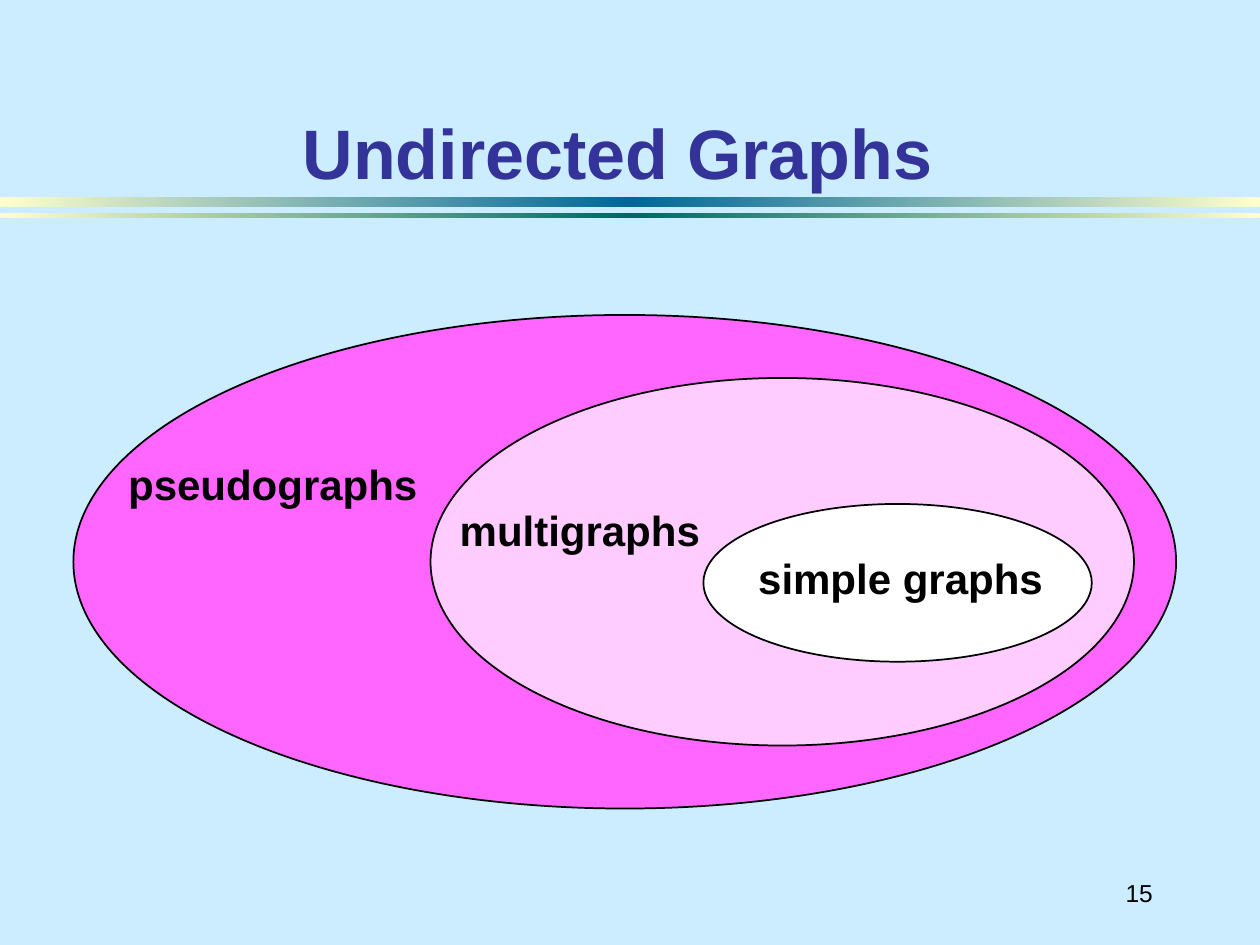
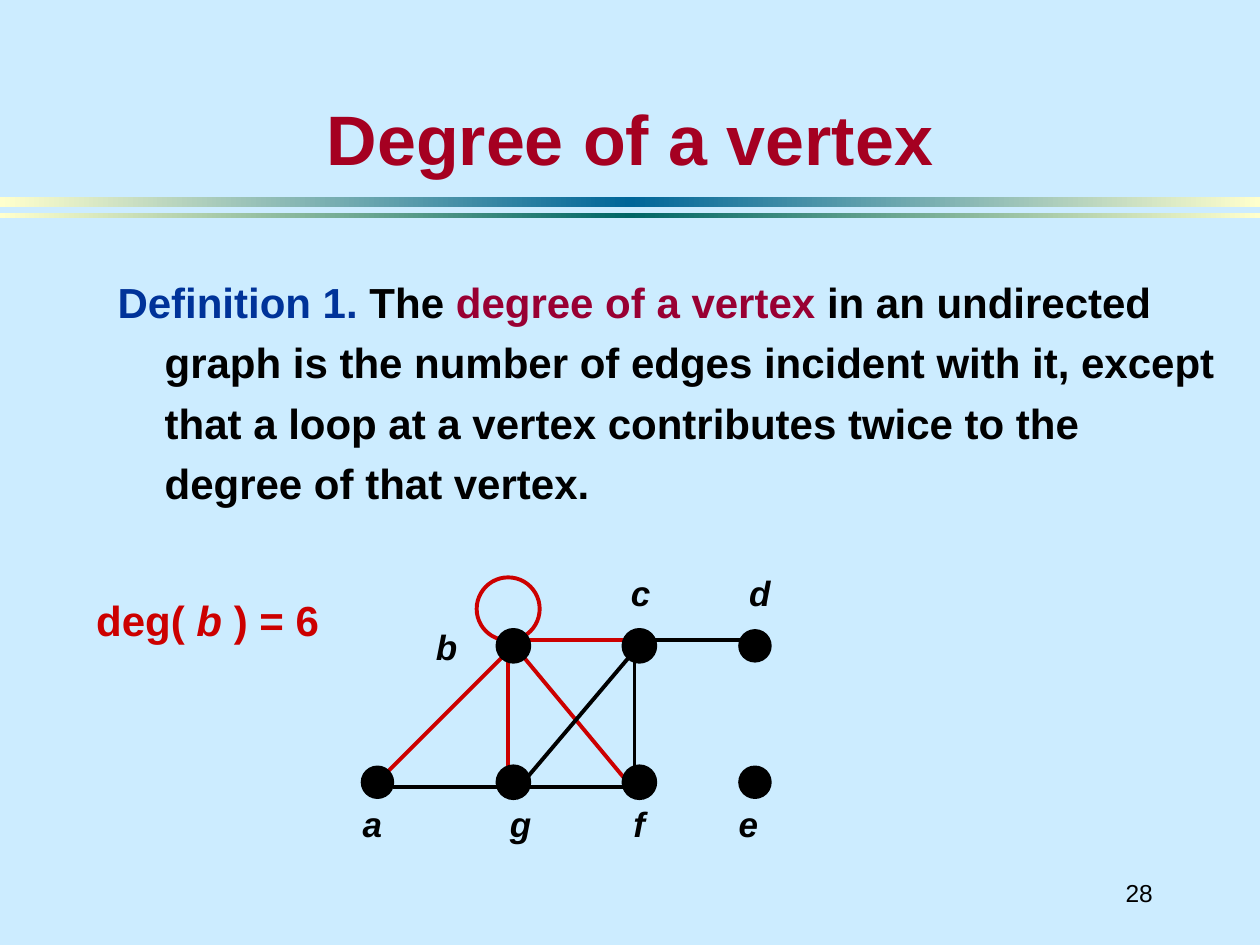
from dataclasses import dataclass
from typing import Optional

from lxml.etree import SubElement
from pptx import Presentation
from pptx.dml.color import RGBColor
from pptx.enum.shapes import MSO_CONNECTOR as CONN, MSO_SHAPE as SHAPE
from pptx.enum.text import MSO_ANCHOR as ANCHOR, PP_ALIGN as ALIGN
from pptx.oxml.ns import qn
from pptx.util import Cm, Pt

FONT = "Arial"
SKY, CREAM, BLACK, RED = "CCECFF", "FFFFCC", "000000", "CC0000"
VERTEX_SIZE = 0.64
COLUMNS = (7.29, 10.03, 12.57, 14.9)
TOP_ROW, BOTTOM_ROW = 12.7, 15.45


@dataclass(frozen=True)
class Box:
    left: float
    top: float
    width: float
    height: float

    def lengths(self) -> list[Cm]:
        return [Cm(v) for v in (self.left, self.top, self.width, self.height)]


@dataclass(frozen=True)
class Run:
    text: str
    color: str = BLACK
    size: float = 24
    bold: bool = True
    italic: bool = False


@dataclass(frozen=True)
class Band:
    box: Box
    middle: str


@dataclass(frozen=True)
class GraphClass:
    ellipse: Box
    fill: str
    label: str
    label_box: Box


@dataclass(frozen=True)
class Edge:
    x1: float
    y1: float
    x2: float
    y2: float
    color: str = BLACK


@dataclass(frozen=True)
class Vertex:
    name: str
    column: int
    row: float
    label_left: float
    label_top: float
    line_width: float


BANDS = (
    Band(Box(0, 3.97, 25.4, 0.2), "006699"),
    Band(Box(0, 4.29, 25.4, 0.1), "006666"),
)

GRAPH_CLASSES = (
    GraphClass(Box(1.48, 6.35, 22.23, 9.95), "FF66FF",
               "pseudographs", Box(2.29, 9.11, 6.42, 1.27)),
    GraphClass(Box(8.68, 7.62, 14.18, 7.41), "FFCCFF",
               "multigraphs", Box(9.01, 10.05, 5.36, 1.27)),
    GraphClass(Box(14.18, 10.16, 7.83, 3.18), "FFFFFF",
               "simple graphs", Box(15.03, 11.02, 6.25, 1.27)),
)

EDGES = (
    Edge(10.24, 13.34, 10.24, 15.44, RED),
    Edge(10.46, 13.13, 12.57, 15.67, RED),
    Edge(10.24, 12.91, 12.78, 12.91, RED),
    Edge(10.24, 13.13, 7.7, 15.67, RED),
    Edge(12.79, 13.34, 12.79, 15.44),
    Edge(10.46, 15.87, 12.78, 15.87),
    Edge(12.78, 13.13, 10.46, 15.87),
    Edge(15.11, 12.91, 12.78, 12.91),
    Edge(7.92, 15.87, 10.24, 15.87),
)

VERTICES = (
    Vertex("a", 0, BOTTOM_ROW, 6.86, 16.05, 1),
    Vertex("b", 1, TOP_ROW, 8.34, 12.48, 2.25),
    Vertex("g", 1, BOTTOM_ROW, 9.83, 16.05, 2.25),
    Vertex("c", 2, TOP_ROW, 12.27, 11.4, 2.25),
    Vertex("f", 2, BOTTOM_ROW, 12.32, 16.05, 2.25),
    Vertex("d", 3, TOP_ROW, 14.65, 11.4, 1),
    Vertex("e", 3, BOTTOM_ROW, 14.44, 16.05, 1),
)


def rgb(value: str) -> RGBColor:
    return RGBColor.from_string(value)


def set_all(target, formats: dict) -> None:
    for name, value in formats.items():
        setattr(target, name, value)


def add_text(slide, box: Box, *runs: Run, align=ALIGN.LEFT, anchor=ANCHOR.TOP,
             wrap: bool = True):
    tf = slide.shapes.add_textbox(*box.lengths()).text_frame
    set_all(tf, {"word_wrap": wrap, "vertical_anchor": anchor})
    p = tf.paragraphs[0]
    p.alignment = align
    for run in runs:
        r = p.add_run()
        r.text = run.text
        set_all(r.font, {"name": FONT, "size": Pt(run.size),
                         "bold": run.bold, "italic": run.italic})
        r.font.color.rgb = rgb(run.color)
    return tf


def add_ellipse(slide, box: Box, fill: Optional[str], line: str, width: float) -> None:
    s = slide.shapes.add_shape(SHAPE.OVAL, *box.lengths())
    s.shadow.inherit = False
    if fill is None:
        s.fill.background()
    else:
        s.fill.solid()
        s.fill.fore_color.rgb = rgb(fill)
    s.line.color.rgb = rgb(line)
    s.line.width = Pt(width)


def add_band(slide, band: Band) -> None:
    s = slide.shapes.add_shape(SHAPE.RECTANGLE, *band.box.lengths())
    s.shadow.inherit = False
    s.line.fill.background()
    s.fill.gradient()
    s.fill.gradient_angle = 0
    stops = s._element.spPr.find(".//" + qn("a:gsLst"))
    for stop in list(stops):
        stops.remove(stop)
    for percent, color in ((0, CREAM), (50, band.middle), (100, CREAM)):
        stop = SubElement(stops, qn("a:gs"), pos=str(percent * 1000))
        SubElement(stop, qn("a:srgbClr"), val=color)


def add_edge(slide, edge: Edge) -> None:
    ends = [Cm(v) for v in (edge.x1, edge.y1, edge.x2, edge.y2)]
    s = slide.shapes.add_connector(CONN.STRAIGHT, *ends)
    s.line.color.rgb = rgb(edge.color)
    s.line.width = Pt(2.25)
    SubElement(s._element.spPr, qn("a:effectLst"))


def add_vertex(slide, vertex: Vertex) -> None:
    box = Box(COLUMNS[vertex.column], vertex.row, VERTEX_SIZE, VERTEX_SIZE)
    add_ellipse(slide, box, BLACK, BLACK, vertex.line_width)
    label_box = Box(vertex.label_left, vertex.label_top, 1.1, 1.11)
    tf = add_text(slide, label_box, Run(vertex.name, size=20, italic=True))
    set_all(tf, {"margin_left": Cm(0.45), "margin_right": Cm(0)})


def add_base_slide(prs, title: str, title_box: Box, title_color: str, number: int):
    slide = prs.slides.add_slide(prs.slide_layouts[6])
    slide.background.fill.solid()
    slide.background.fill.fore_color.rgb = rgb(SKY)
    for band in BANDS:
        add_band(slide, band)
    add_text(slide, Box(21.79, 17.37, 1.7, 1.27), Run(str(number), size=14, bold=False),
             align=ALIGN.RIGHT, anchor=ANCHOR.MIDDLE)
    add_text(slide, title_box, Run(title, title_color, 40),
             align=ALIGN.CENTER, anchor=ANCHOR.BOTTOM)
    return slide


def add_undirected_graphs(prs) -> None:
    slide = add_base_slide(prs, "Undirected Graphs", Box(0.84, 0.62, 23.22, 3.4),
                           "333399", 15)
    for kind in GRAPH_CLASSES:
        add_ellipse(slide, kind.ellipse, kind.fill, BLACK, 1)
    for kind in GRAPH_CLASSES:
        add_text(slide, kind.label_box, Run(kind.label), align=ALIGN.CENTER,
                 anchor=ANCHOR.MIDDLE, wrap=False)


def add_vertex_degree(prs) -> None:
    slide = add_base_slide(prs, "Degree of a vertex", Box(0, 0.56, 25.4, 3.18),
                           "A50021", 28)
    definition = add_text(
        slide, Box(2.12, 5.24, 22.78, 6.4),
        Run("Definition 1.", "003399"),
        Run(" The "),
        Run("degree of a vertex", "990033"),
        Run(" in an undirected graph is the number of edges incident with it, "
            "except that a loop at a vertex contributes twice to the degree of "
            "that vertex."))
    p = definition.paragraphs[0]
    p.line_spacing = 1.2
    pPr = p._p.get_or_add_pPr()
    for name, indent in {"marL": 0.95, "indent": -0.95}.items():
        pPr.set(name, str(int(Cm(indent))))
    add_text(slide, Box(1.69, 11.85, 5, 1.27), Run("deg( ", RED),
             Run("b ", RED, italic=True), Run(") = 6", RED), wrap=False)
    add_ellipse(slide, Box(9.61, 11.64, 1.27, 1.27), None, RED, 2.25)
    for edge in EDGES:
        add_edge(slide, edge)
    for vertex in VERTICES:
        add_vertex(slide, vertex)


def main() -> None:
    prs = Presentation()
    set_all(prs, {"slide_width": Cm(25.4), "slide_height": Cm(19.05)})
    add_undirected_graphs(prs)
    add_vertex_degree(prs)
    prs.save("out.pptx")


if __name__ == "__main__":
    main()
